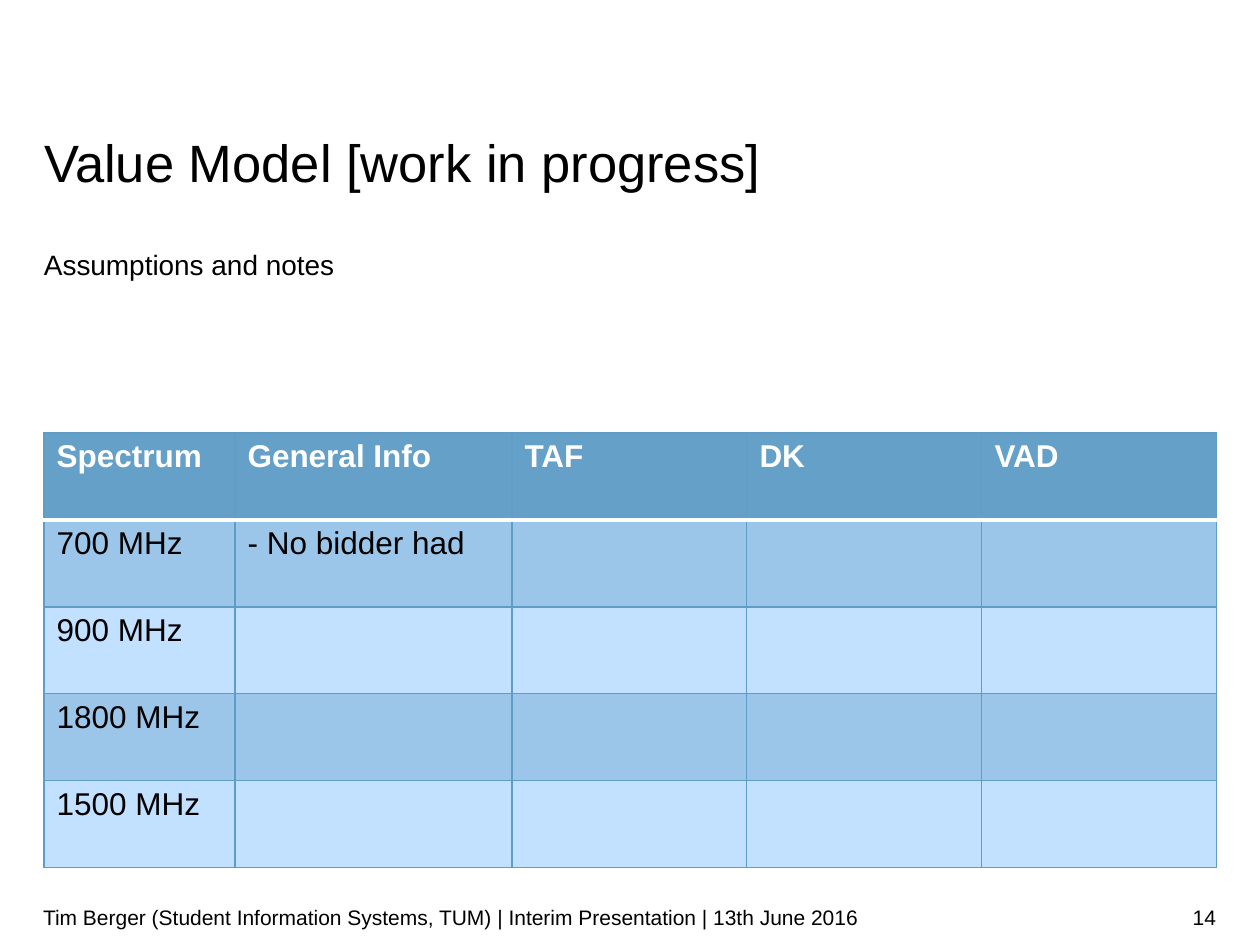
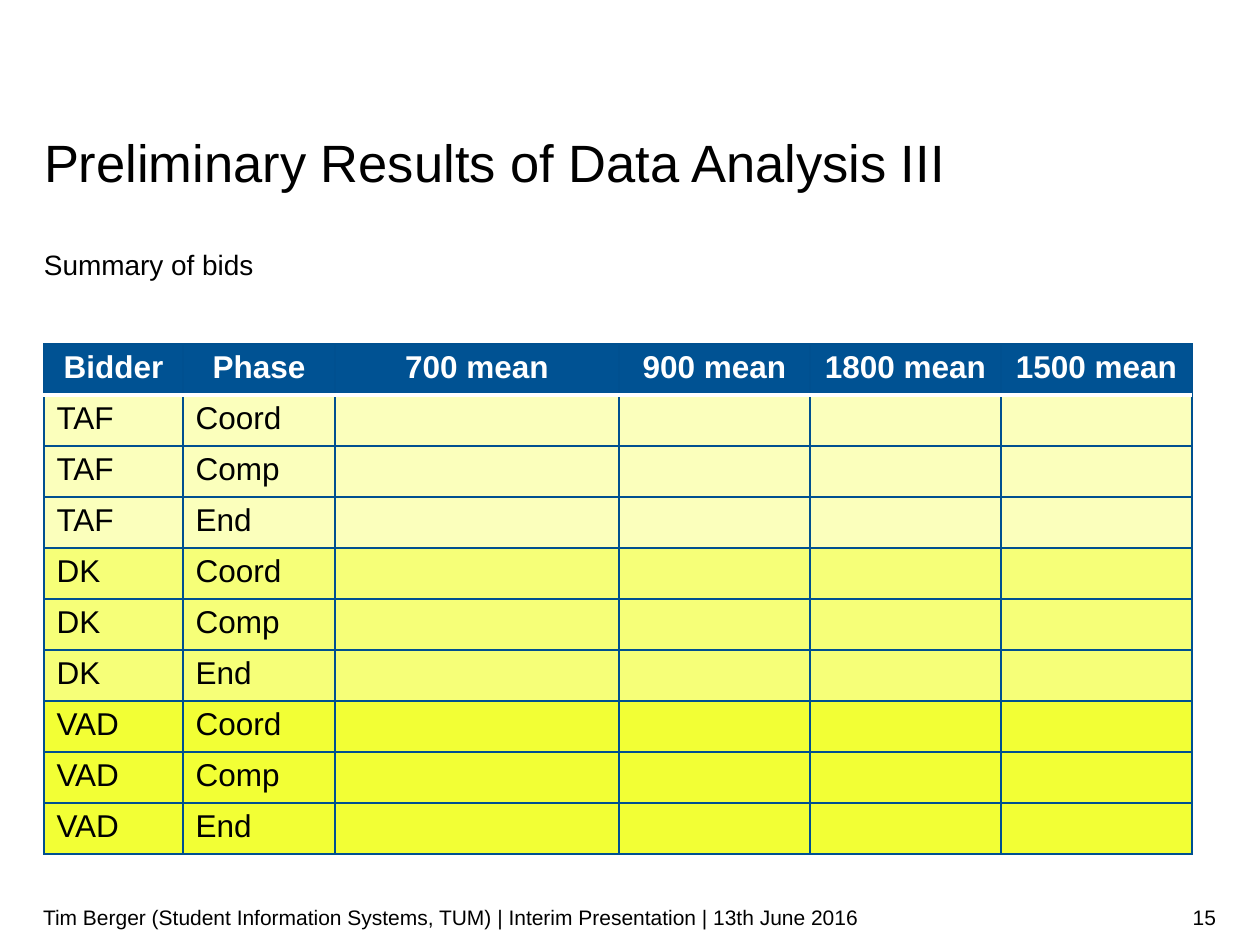
from lxml import etree
from pptx import Presentation
from pptx.dml.color import RGBColor
from pptx.enum.text import MSO_ANCHOR, MSO_AUTO_SIZE, PP_ALIGN
from pptx.oxml.ns import qn
from pptx.util import Pt

LEFT, RIGHT, CENTER = PP_ALIGN.LEFT, PP_ALIGN.RIGHT, PP_ALIGN.CENTER
TOP, MIDDLE = MSO_ANCHOR.TOP, MSO_ANCHOR.MIDDLE
GROW = MSO_AUTO_SIZE.SHAPE_TO_FIT_TEXT

FONT = "Arial"
HEX = {
    "ink": "000000", "white": "FFFFFF",
    "sky": "64A0C8", "sky line": "5F9DC6", "sky mid": "9CC6E9", "sky pale": "C2E0FF",
    "navy": "005293", "navy line": "005090",
    "lemon 1": "FBFFBC", "lemon 2": "F6FF78", "lemon 3": "F2FF35",
}
FOOTER = "Tim Berger (Student Information Systems, TUM) | Interim Presentation | 13th June 2016"
BIDDERS = ["TAF", "DK", "VAD"]
PHASES = ["Coord", "Comp", "End"]
BANDS = ["700", "900", "1800", "1500"]
NOTES = {"700": "- No bidder had"}

SLIDES = [
    {
        "title": "Value Model [work in progress]",
        "lead": "Assumptions and notes",
        "number": 14,
        "head": ["Spectrum", "General Info"] + BIDDERS,
        "rows": [[f"{band} MHz", NOTES.get(band, "")] for band in BANDS],
        "fills": ["sky mid", "sky pale"] * 2,
        "theme": "sky", "align": LEFT,
        "top": 433, "widths": [191, 277, 235, 235, 235], "height": 87,
    },
    {
        "title": "Preliminary Results of Data Analysis III",
        "lead": "Summary of bids",
        "number": 15,
        "head": ["Bidder", "Phase"] + [f"{band} mean" for band in BANDS],
        "rows": [[bidder, phase] for bidder in BIDDERS for phase in PHASES],
        "fills": [f"lemon {i + 1}" for i in range(len(BIDDERS)) for _ in PHASES],
        "theme": "navy", "align": CENTER,
        "top": 344, "widths": [139, 152, 284, 191, 191, 191], "height": 51,
    },
]

EDGE = 44
TITLE_BOX = (EDGE, 137, 1173, 57)
LEAD_BOX = (EDGE, 243, 1173, 98)
FOOT_BOX = (43, 892, 891, 50)
PAGE_BOX = (934, 892, 282, 50)


def px(n):
    return n * 914400 // 126


def color(name):
    return RGBColor.from_string(HEX[name])


def style(para, size, ink="ink", bold=False, align=LEFT):
    para.font.name = FONT
    para.font.size = Pt(size)
    para.font.bold = bold
    para.font.color.rgb = color(ink)
    para.alignment = align


def write(shape, box, text, size, align=LEFT, anchor=TOP, pad=0):
    shape.left, shape.top, shape.width, shape.height = map(px, box)
    frame = shape.text_frame
    frame.word_wrap = True
    frame.vertical_anchor = anchor
    frame.margin_left = frame.margin_right = 0
    frame.margin_top = frame.margin_bottom = px(pad)
    para = frame.paragraphs[0]
    para.text = text
    style(para, size, align=align)
    return para


def add_text(slide, box, *args, **kwargs):
    return write(slide.shapes.add_textbox(0, 0, 0, 0), box, *args, **kwargs)


def set_border(cell, lines):
    props = cell._tc.get_or_add_tcPr()
    for i, side in enumerate("LRTB"):
        name, width = lines[side]
        line = etree.Element(qn(f"a:ln{side}"), w=str(Pt(width)))
        fill = etree.SubElement(line, qn("a:solidFill"))
        etree.SubElement(fill, qn("a:srgbClr"), val=HEX[name])
        props.insert(i, line)


def add_grid(slide, data):
    widths, height = data["widths"], data["height"]
    texts = [data["head"]] + data["rows"]
    fills = [data["theme"]] + data["fills"]
    grid = slide.shapes.add_table(
        len(texts), len(widths), px(EDGE), px(data["top"]),
        px(sum(widths)), px(height * len(texts))).table
    for col, width in zip(grid.columns, widths):
        col.width = px(width)
    thin, thick = (data["theme"] + " line", 0.75), ("white", 2)
    for r, (row, fill) in enumerate(zip(texts, fills)):
        grid.rows[r].height = px(height)
        head = r == 0
        lines = dict.fromkeys("LRTB", thin)
        if r < 2:
            lines["B" if head else "T"] = thick
        for c, cell in enumerate(grid.rows[r].cells):
            para = cell.text_frame.paragraphs[0]
            if c < len(row) and row[c]:
                para.text = row[c]
            style(para, 18, "white" if head else "ink", head,
                  data["align"] if head else LEFT)
            cell.fill.solid()
            cell.fill.fore_color.rgb = color(fill)
            set_border(cell, lines)


def add_slide(deck, data):
    slide = deck.slides.add_slide(deck.slide_layouts[5])
    title = slide.shapes.title
    write(title, TITLE_BOX, data["title"], 30).line_spacing = Pt(32)
    title.text_frame.auto_size = GROW
    add_text(slide, LEAD_BOX, data["lead"], 16).line_spacing = 1.14
    add_grid(slide, data)
    add_text(slide, FOOT_BOX, FOOTER, 12, anchor=MIDDLE, pad=6)
    add_text(slide, PAGE_BOX, str(data["number"]), 12, RIGHT, MIDDLE, 6)


def main():
    deck = Presentation()
    deck.slide_width, deck.slide_height = px(1260), px(945)
    for data in SLIDES:
        add_slide(deck, data)
    deck.save("out.pptx")


if __name__ == "__main__":
    main()
